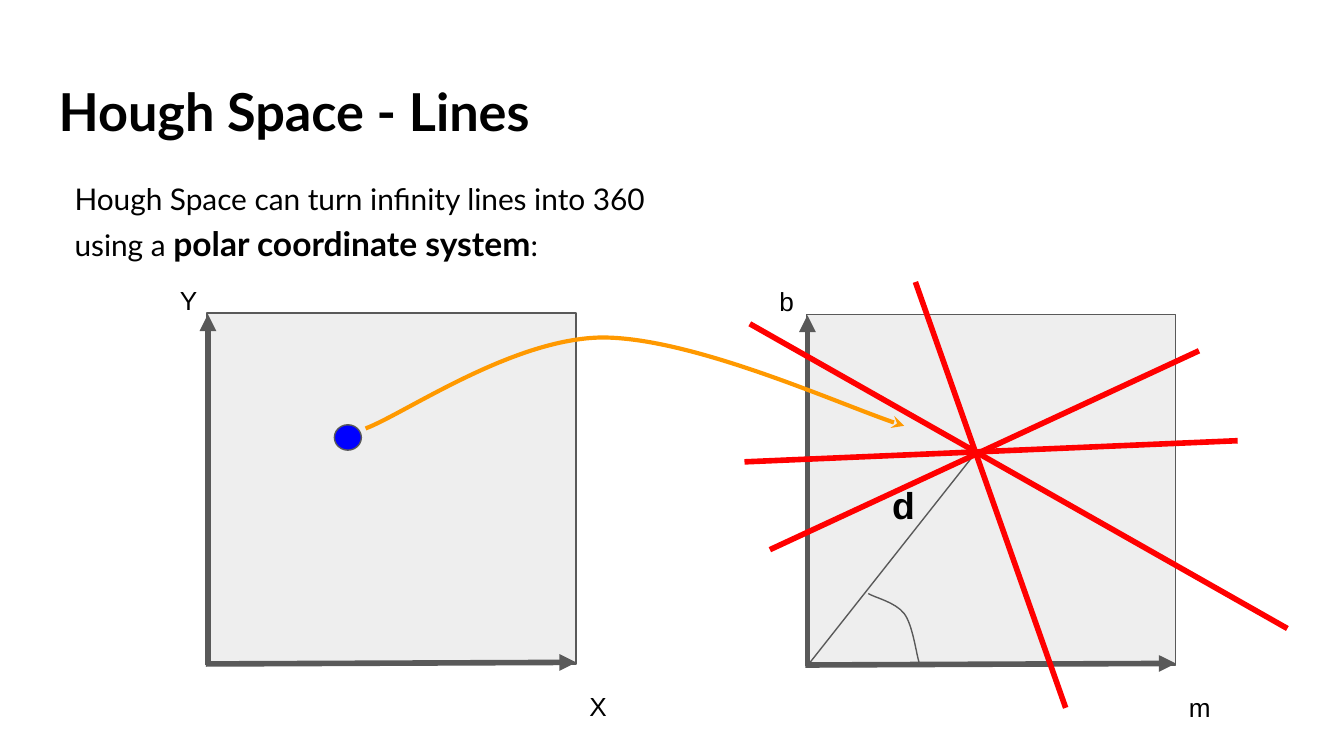
import pptx
import pptx.dml.color
import pptx.enum.shapes
import pptx.enum.text
import pptx.oxml.ns
import pptx.util
from lxml import etree

Cm = pptx.util.Cm
Pt = pptx.util.Pt
qn = pptx.oxml.ns.qn
RGBColor = pptx.dml.color.RGBColor
SHAPE = pptx.enum.shapes.MSO_SHAPE

BLACK = RGBColor(0x00, 0x00, 0x00)
PANEL = RGBColor(0xEE, 0xEE, 0xEE)
GREY = RGBColor(0x59, 0x59, 0x59)
BLUE = RGBColor(0x00, 0x00, 0xFF)
RED = RGBColor(0xFF, 0x00, 0x00)
ORANGE = RGBColor(0xFF, 0x99, 0x00)

PANEL_W, PANEL_H = 6.98, 6.63


def style_line(sp, color, width, head=None):
    sp.line.color.rgb = color
    sp.line.width = Pt(width)
    if head:
        etree.SubElement(sp.line._get_or_add_ln(), qn("a:tailEnd"), type=head)


def add_shape(slide, kind, x, y, w, h, fill):
    sp = slide.shapes.add_shape(kind, Cm(x), Cm(y), Cm(w), Cm(h))
    sp.shadow.inherit = False
    sp.fill.solid()
    sp.fill.fore_color.rgb = fill
    style_line(sp, GREY, 0.75)
    return sp


def add_line(slide, x1, y1, x2, y2, color, width, head=None):
    c = slide.shapes.add_connector(
        pptx.enum.shapes.MSO_CONNECTOR.STRAIGHT, Cm(x1), Cm(y1), Cm(x2), Cm(y2))
    etree.SubElement(c._element.spPr, qn("a:effectLst"))
    style_line(c, color, width, head)


def add_curve(slide, points, color, width, head=None):
    """Draw a start point followed by triples of cubic Bezier points."""
    pts = [(Cm(x), Cm(y)) for x, y in points]
    builder = slide.shapes.build_freeform(*pts[0])
    builder.add_line_segments(pts[1:], close=False)
    sp = builder.convert_to_shape()
    sp.shadow.inherit = False
    sp.fill.background()
    style_line(sp, color, width, head)
    # Turn each three straight segments into one cubic segment
    segments = list(sp._element.iter(qn("a:lnTo")))
    for i in range(0, len(segments), 3):
        segments[i].tag = qn("a:cubicBezTo")
        for seg in segments[i + 1:i + 3]:
            segments[i].append(seg[0])
            seg.getparent().remove(seg)


def format_run(r, font, size, bold=False):
    r.font.name = font
    r.font.size = Pt(size)
    r.font.bold = bold
    r.font.color.rgb = BLACK


def add_text(slide, x, y, w, h, text, font, size, bold=False):
    tb = slide.shapes.add_textbox(Cm(x), Cm(y), Cm(w), Cm(h))
    tf = tb.text_frame
    tf.word_wrap = True
    tf.margin_left = tf.margin_right = tf.margin_top = tf.margin_bottom = Cm(0.25)
    tf.text = text
    for p in tf.paragraphs:
        for r in p.runs:
            format_run(r, font, size, bold)
    return tf


def add_heading(slide, x, y, w):
    # Title
    add_text(slide, x, y, w, 1.6, "Hough Space - Lines", "Lato", 28, True)
    # Introduction, with the key term in bold
    tf = add_text(slide, x, y + 1.83, w, 1.9,
                  "Hough Space can turn infinity lines into 360\nusing a ", "Lato", 16)
    p = tf.paragraphs[1]
    for text, size, bold in (("polar coordinate system", 18, True), (":", 16, False)):
        r = p.add_run()
        r.text = text
        format_run(r, "Lato", size, bold)
    for p in tf.paragraphs:
        p.line_spacing = 1.15
        p._p.get_or_add_pPr().set("marL", str(Cm(0.3)))


def add_axes(slide, x, y, w, h, x_name, y_name):
    add_shape(slide, SHAPE.RECTANGLE, x, y, w, h, PANEL)
    add_line(slide, x + 0.02, y + h + 0.02, x + 0.02, y + 0.02, GREY, 3, "triangle")
    add_line(slide, x - 0.02, y + h, x + w, y + h - 0.03, GREY, 3, "triangle")
    add_text(slide, x - 0.76, y - 0.79, 1, 0.79, y_name, "Arial", 14)
    add_text(slide, x + w, y + h + 0.25, 1, 0.79, x_name, "Arial", 14)


def add_image_space(slide, x, y, w, h):
    add_axes(slide, x, y, w, h, "X", "Y")
    add_shape(slide, SHAPE.OVAL, x + 2.41, y + 2.11, 0.51, 0.48, BLUE)


def add_hough_space(slide, x, y, w, h):
    add_axes(slide, x, y, w, h, "m", "b")
    # Distance and angle from the origin
    add_line(slide, x + 0.03, y + h, x + 3.18, y + 2.64, GREY, 0.75)
    arc = [(1.17, 5.28), (1.3, 5.36), (1.68, 5.44), (1.85, 5.66),
           (2.01, 5.87), (2.08, 6.43), (2.13, 6.58)]
    add_curve(slide, [(x + dx, y + dy) for dx, dy in arc], GREY, 0.75)
    add_text(slide, x + 1.37, y + 2.92, 0.76, 0.89, "d", "Arial", 20, True)
    # Lines through the point
    for x1, y1, x2, y2 in ((-1.07, 0.18, 9.09, 5.94), (-1.17, 2.79, 8.15, 2.39),
                           (-0.69, 4.45, 7.42, 0.69), (2.06, -0.61, 4.9, 7.44)):
        add_line(slide, x + x1, y + y1, x + x2, y + y2, RED, 3)


def main():
    prs = pptx.Presentation()
    prs.slide_width, prs.slide_height = Cm(25.4), Cm(14.29)
    s = prs.slides.add_slide(prs.slide_layouts[6])

    add_heading(s, 0.86, 1.24, 23.67)
    add_image_space(s, 3.91, 5.92, PANEL_W, PANEL_H)
    add_hough_space(s, 15.24, 5.94, PANEL_W, PANEL_H)

    # Mapping from the point to its lines
    add_curve(s, [(6.91, 8.1), (7.65, 7.82), (9.68, 6.4), (11.38, 6.38),
                  (13.08, 6.38), (16.15, 7.77), (17.09, 8.05)], ORANGE, 2.25, "stealth")
    prs.save("out.pptx")


if __name__ == "__main__":
    main()
